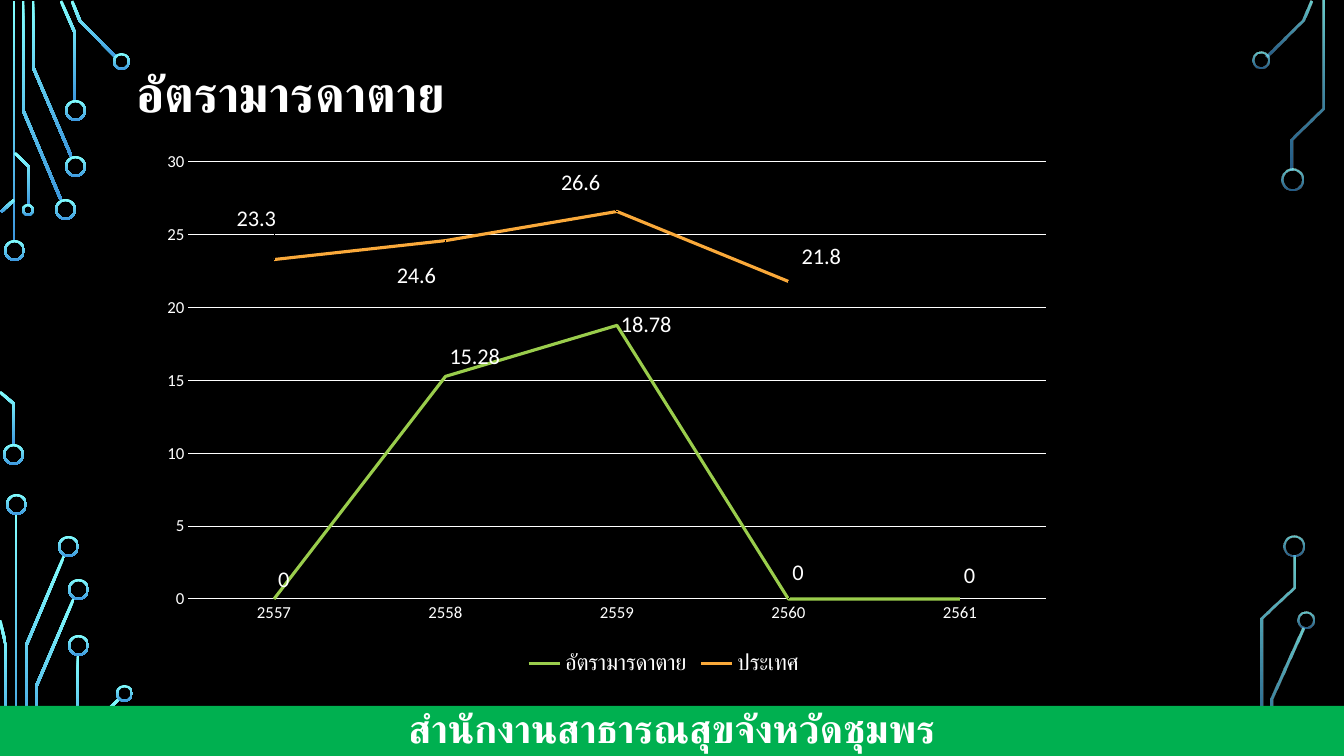
from math import hypot
from lxml import etree
from pptx import Presentation
from pptx.chart.data import CategoryChartData
from pptx.dml.color import RGBColor
from pptx.enum.chart import XL_CHART_TYPE, XL_LABEL_POSITION, XL_LEGEND_POSITION, XL_TICK_MARK
from pptx.enum.shapes import MSO_SHAPE as SHAPE
from pptx.enum.text import MSO_ANCHOR as ANCHOR, PP_ALIGN as ALIGN
from pptx.oxml.ns import qn
from pptx.util import Pt

PX = 914400 / 100.8  # EMU per pixel
FONT = "Calibri"
COLORS = {"back": "000000", "text": "FFFFFF", "bar": "00B050", "glow": "82FFFF",
          "deep": "3D97DE", "province": "9ACD4C", "country": "FAA93A"}
RGB = {name: RGBColor.from_string(value) for name, value in COLORS.items()}


def put_text(tf, text, size, align, anchor, spacing):
    tf.word_wrap = True
    tf.vertical_anchor = anchor
    p = tf.paragraphs[0]
    p.alignment, p.line_spacing = align, spacing
    r = p.add_run()
    r.text = text
    r.font.size, r.font.bold, r.font.name = Pt(size), True, FONT
    r.font.color.rgb = RGB["text"]
    etree.SubElement(r.font._element, qn("a:cs"), typeface=FONT)


def paint_circuit(sp, faded):
    sp.shadow.inherit = False
    sp.line.fill.background()
    sp.fill.gradient()
    sp.fill.gradient_angle = 270
    for stop, name, alpha in zip(sp.fill.gradient_stops, ("glow", "deep"), (80000, 60000)):
        stop.color.rgb = RGB[name]
    if faded:
        for color, alpha in zip(sp.element.iter(qn("a:srgbClr")), (80000, 60000)):
            etree.SubElement(color, qn("a:alpha"), val=str(alpha))


prs = Presentation()
prs.slide_width, prs.slide_height = round(1344 * PX), round(756 * PX)
s = prs.slides.add_slide(prs.slide_layouts[5])
s.background.fill.solid()
s.background.fill.fore_color.rgb = RGB["back"]

# Circuit traces: centre lines widened into ribbons
traces = [
    [(14, 1), (14, 241)],
    [(23, 1), (23, 110), (61, 200)],
    [(33, 1), (33, 67), (72, 158)],
    [(61, 1), (75, 33), (75, 101)],
    [(72, 1), (80, 21), (116, 57)],
    [(1, 212), (14, 200)],
    [(0, 392), (14, 404), (14, 445)],
    [(15, 153), (29, 167), (29, 205)],
    [(16, 514), (16, 755)],
    [(64, 556), (26, 646), (26, 755)],
    [(0, 620), (6, 646), (6, 755)],
    [(74, 598), (36, 687), (36, 755)],
    [(78, 655), (78, 723), (64, 755)],
    [(119, 699), (83, 735), (75, 755)],
    [(1311, 1), (1303, 20), (1267, 56)],
    [(1292, 170), (1292, 139), (1323, 108), (1323, 1)],
    [(1303, 628), (1272, 699), (1272, 755)],
    [(1294, 556), (1294, 588), (1262, 619), (1262, 755)],
]
HALF = 1.4  # half the trace width
for trace in traces:
    normals = []
    for (x1, y1), (x2, y2) in zip(trace, trace[1:]):
        length = hypot(x2 - x1, y2 - y1)
        normals.append(((y1 - y2) / length, (x2 - x1) / length))
    left, right = [], []
    for (x, y), (ax, ay), (bx, by) in zip(trace, normals[:1] + normals, normals + normals[-1:]):
        miter = HALF / (1 + ax * bx + ay * by)
        dx, dy = (ax + bx) * miter, (ay + by) * miter
        left.append((round((x + dx) * PX), round((y + dy) * PX)))
        right.append((round((x - dx) * PX), round((y - dy) * PX)))
    outline = left + right[::-1]
    builder = s.shapes.build_freeform(*outline[0])
    builder.add_line_segments(outline[1:], close=True)
    paint_circuit(builder.convert_to_shape(), faded=trace[0][0] > 672)

# Circuit nodes: left, top, diameter
nodes = [
    (4, 240, 21), (3, 444, 21), (55, 199, 21), (65, 156, 21), (65, 100, 21), (113, 53, 17),
    (22, 204, 12), (6, 494, 21), (58, 536, 21), (68, 579, 21), (68, 635, 21), (116, 685, 17),
    (1253, 52, 17), (1282, 169, 21), (1298, 612, 17), (1283, 536, 21),
]
for x, y, size in nodes:
    sp = s.shapes.add_shape(SHAPE.DONUT, *(round(v * PX) for v in (x, y, size, size)))
    sp.adjustments[0] = 2 / size
    paint_circuit(sp, faded=x > 672)

# Title
title = s.shapes.title
title.left, title.top, title.width, title.height = (round(v * PX) for v in (126, 23, 817, 147))
put_text(title.text_frame, "อัตรามารดาตาย", size=36, align=ALIGN.LEFT,
         anchor=ANCHOR.MIDDLE, spacing=0.9)

# Footer bar
bar = s.shapes.add_shape(SHAPE.RECTANGLE, *(round(v * PX) for v in (0, 706, 1344, 50)))
bar.shadow.inherit = False
bar.fill.solid()
bar.fill.fore_color.rgb = RGB["bar"]
bar.line.fill.background()
put_text(bar.text_frame, "สำนักงานสาธารณสุขจังหวัดชุมพร", size=28, align=ALIGN.CENTER,
         anchor=ANCHOR.BOTTOM, spacing=1.2)

# Line chart
CHART_W, CHART_H = 1033, 533
data = CategoryChartData()
data.categories = ["2557", "2558", "2559", "2560", "2561"]
data.add_series("อัตรามารดาตาย", [0, 15.28, 18.78, 0, 0])
data.add_series("ประเทศ", [23.3, 24.6, 26.6, 21.8, None])
chart = s.shapes.add_chart(XL_CHART_TYPE.LINE, *(round(v * PX) for v in (147, 146, CHART_W, CHART_H)),
                           data).chart
chart.has_title = False
chart.has_legend = True
chart.legend.position = XL_LEGEND_POSITION.BOTTOM
chart.legend.include_in_layout = False
cat_axis, val_axis = chart.category_axis, chart.value_axis
val_axis.minimum_scale, val_axis.maximum_scale, val_axis.major_unit = 0, 30, 5
val_axis.has_major_gridlines = True
for axis in (cat_axis, val_axis):
    axis.major_tick_mark = axis.minor_tick_mark = XL_TICK_MARK.NONE
for line in (cat_axis.format.line, val_axis.major_gridlines.format.line):
    line.color.rgb, line.width = RGB["text"], Pt(0.75)
val_axis.format.line.fill.background()
fonts = [(chart.font, 10), (cat_axis.tick_labels.font, 12), (val_axis.tick_labels.font, 12),
         (chart.legend.font, 16)]

# Series lines, and value labels moved by px from the right of their points
label_moves = [
    {0: (0, -19), 1: (0, -19), 3: (0, -26), 4: (0, -23)},
    {0: (-41, -40), 1: (-53, 35), 2: (-60, -29), 3: (9, -24)},
]
layouts = []
for number, (series, name, moves) in enumerate(
        zip(chart.plots[0].series, ("province", "country"), label_moves), 1):
    series.smooth = False
    series.format.line.color.rgb, series.format.line.width = RGB[name], Pt(2.25)
    labels = series.data_labels
    labels.show_value = True
    labels.position = XL_LABEL_POSITION.RIGHT
    fonts.append((labels.font, 16))
    for i, (dx, dy) in moves.items():
        label = series.points[i].data_label
        label.position = XL_LABEL_POSITION.RIGHT
        fonts.append((label.font, 16))
        dlbl = chart.element.xpath(f".//c:ser[{number}]/c:dLbls/c:dLbl[c:idx/@val='{i}']")[0]
        layouts.append((dlbl, 1, {"x": round(dx / CHART_W, 3), "y": round(dy / CHART_H, 3)}))
for font, size in fonts:
    font.size, font.name, font.bold = Pt(size), FONT, False
    font.color.rgb = RGB["text"]

# Manual layout of the plot area and labels
plot_area = chart.element.xpath(".//c:plotArea")[0]
layouts.append((plot_area, 0, {"layoutTarget": "inner", "xMode": "edge", "yMode": "edge",
                               "x": 0.04, "y": 0.03, "w": 0.83, "h": 0.82}))
for parent, index, settings in layouts:
    for old in parent.findall(qn("c:layout")):
        parent.remove(old)
    layout = etree.Element(qn("c:layout"))
    manual = etree.SubElement(layout, qn("c:manualLayout"))
    for key, value in settings.items():
        etree.SubElement(manual, qn(f"c:{key}"), val=str(value))
    parent.insert(index, layout)

prs.save("out.pptx")
